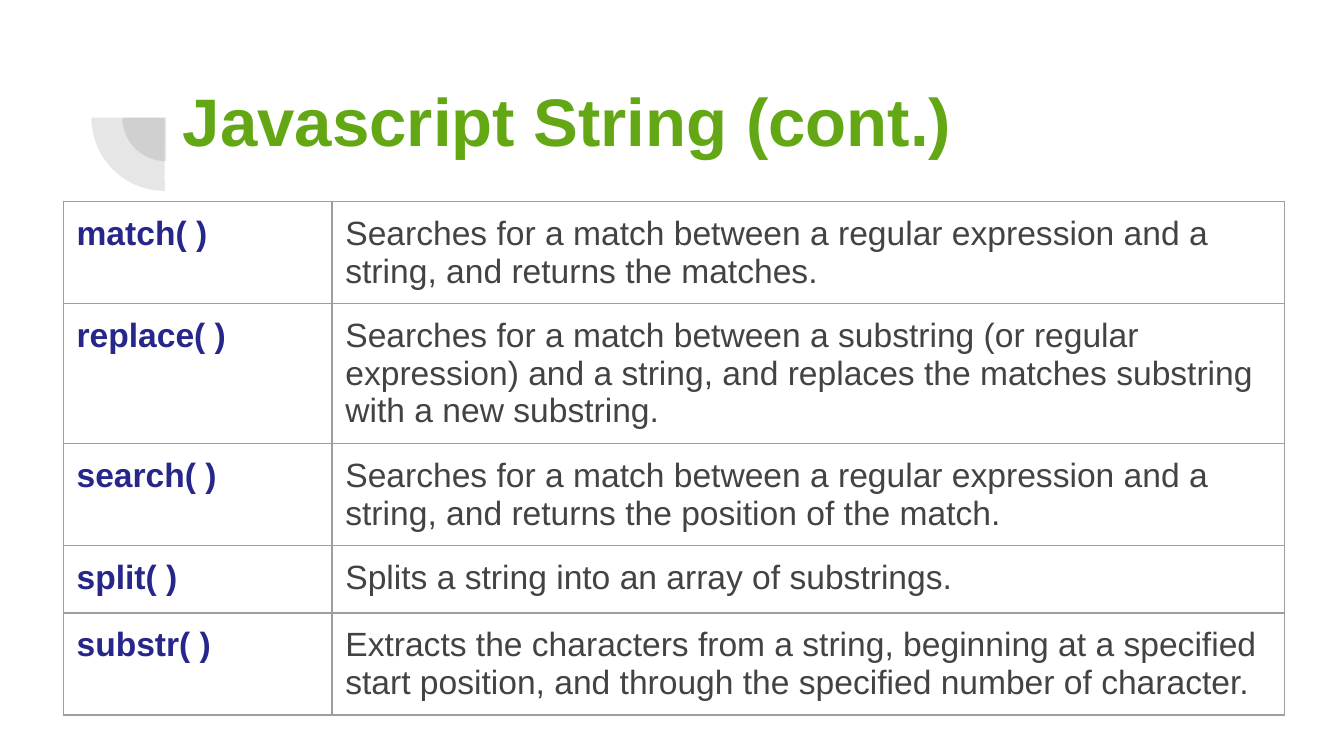
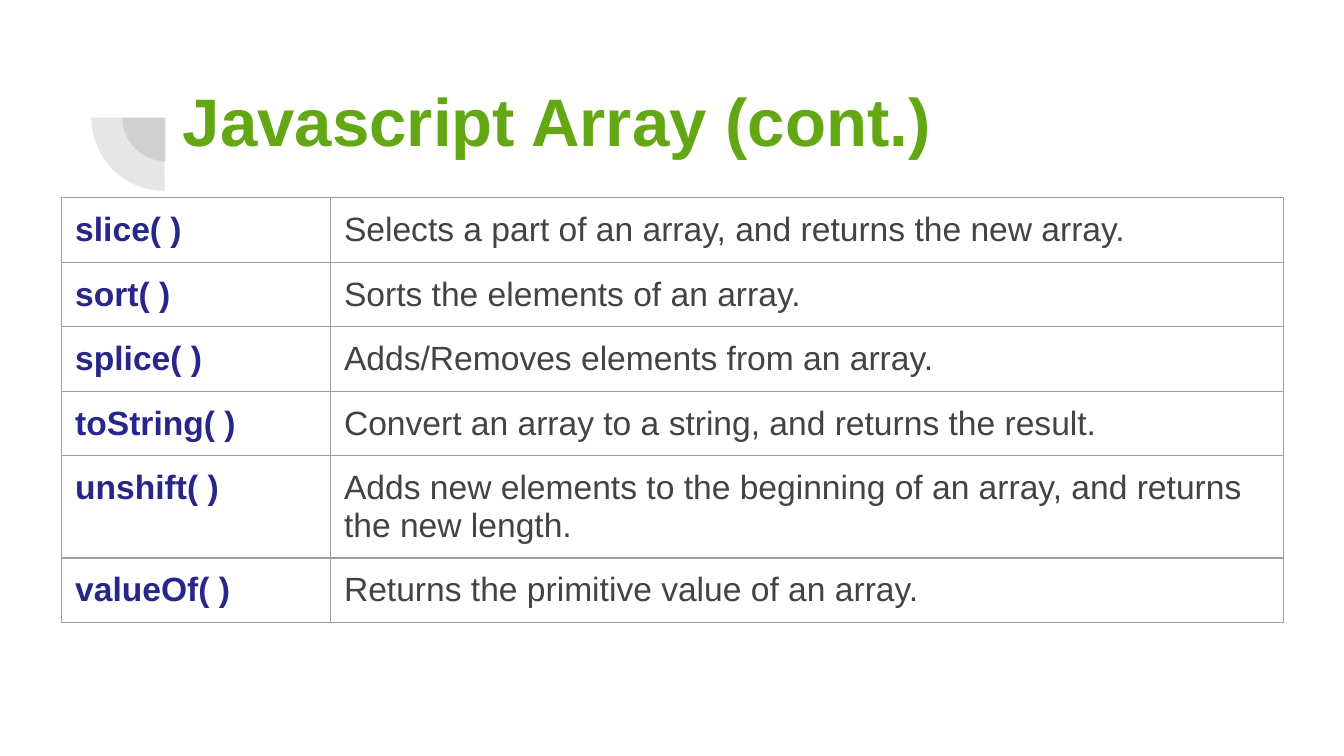
from lxml import etree
from pptx import Presentation
from pptx import util as u
from pptx.dml.color import RGBColor
from pptx.enum import shapes, text
from pptx.oxml import ns

PX = 4572  # EMU in one px, 200 px to the inch
FONT = "Arial"
GREEN = RGBColor(0x63, 0xA8, 0x14)
NAVY = RGBColor(0x27, 0x27, 0x8B)
INK = RGBColor(0x43, 0x43, 0x43)
GRAY = RGBColor(0x42, 0x42, 0x42)
RULE = RGBColor(0x9E, 0x9E, 0x9E)
COLS = (400, 1418)
PAD = 20

STRING = [
    ("match( )", "Searches for a match between a regular expression and a string, "
     "and returns the matches.", 84),
    ("replace( )", "Searches for a match between a substring (or regular expression) "
     "and a string, and replaces the matches substring with a new substring.", 86),
    ("search( )", "Searches for a match between a regular expression and a string, "
     "and returns the position of the match.", 62),
    ("split( )", "Splits a string into an array of substrings.", 100),
    ("substr( )", "Extracts the characters from a string, beginning at a specified "
     "start position, and through the specified number of character.", 100),
]
ARRAY = [(name, note, 86) for name, note in (
    ("slice( )", "Selects a part of an array, and returns the new array."),
    ("sort( )", "Sorts the elements of an array."),
    ("splice( )", "Adds/Removes elements from an array."),
    ("toString( )", "Convert an array to a string, and returns the result."),
    ("unshift( )", "Adds new elements to the beginning of an array, "
     "and returns the new length."),
    ("valueOf( )", "Returns the primitive value of an array."),
)]


def px(*sizes):
    return [u.Emu(size * PX) for size in sizes]


def pad(box):
    """Give a text frame or a table cell the same margin on all sides."""
    box.margin_left, box.margin_top, box.margin_right, box.margin_bottom = px(*[PAD] * 4)


def write(frame, words, size=18, color=INK, bold=False, after=0):
    par = frame.paragraphs[0]
    par.alignment = text.PP_ALIGN.LEFT
    par.space_after = u.Pt(after)
    run = par.add_run()
    run.text = words
    font = run.font
    font.name, font.size, font.bold = FONT, u.Pt(size), bold
    font.color.rgb = color


def child(node, tag, **attrs):
    return etree.SubElement(node, ns.qn(tag), attrs)


def edge(cell):
    """Draw a thin rule on all four sides of the cell."""
    props = cell._tc.get_or_add_tcPr()
    for side in "LRTB":
        line = child(props, "a:ln" + side, w=str(u.Pt(0.75)))
        child(child(line, "a:solidFill"), "a:srgbClr", val=str(RULE))


class Deck:
    def __init__(self):
        self.prs = Presentation()
        self.prs.slide_width, self.prs.slide_height = px(2000, 1125)
        self.layout = self.prs.slide_layouts[5]
        self.slide = None

    def page(self):
        self.slide = self.prs.slides.add_slide(self.layout)

    def pie(self, left, top, side, num):
        """Add a see-through quarter disc to the layout that all slides share."""
        pie = self.slide.shapes.add_shape(shapes.MSO_SHAPE.PIE, *px(left, top, side, side))
        pie.adjustments[0], pie.adjustments[1] = 107.93, 162
        pie.rotation = 270
        pie.shadow.inherit = False
        pie.line.fill.background()
        pie.fill.solid()
        pie.fill.fore_color.rgb = GRAY
        node = pie.element
        child(node.find(".//" + ns.qn("a:srgbClr")), "a:alpha", val="13000")
        node.nvSpPr.cNvPr.set("id", str(num))
        self.layout.shapes.element.append(node)

    def title(self, words):
        title = self.slide.shapes.title
        title.left, title.top, title.width, title.height = px(252, 98, 1546, 146)
        frame = title.text_frame
        frame.word_wrap = True
        frame.auto_size = text.MSO_AUTO_SIZE.NONE
        frame.vertical_anchor = text.MSO_ANCHOR.TOP
        pad(frame)
        write(frame, words, size=36, color=GREEN, bold=True, after=16)

    def table(self, left, top, rows):
        high = sum(row[2] for row in rows)
        box = px(left, top, sum(COLS), high)
        table = self.slide.shapes.add_table(len(rows), len(COLS), *box).table
        table.first_row = table.horz_banding = False
        for col, wide in zip(table.columns, px(*COLS)):
            col.width = wide
        for row, (name, note, tall) in zip(table.rows, rows):
            row.height = px(tall)[0]
            for cell in row.cells:
                edge(cell)
                cell.fill.background()
                pad(cell)
            write(row.cells[0].text_frame, name, color=NAVY, bold=True)
            write(row.cells[1].text_frame, note)


def main():
    deck = Deck()
    deck.page()
    deck.pie(182, 110, 130, 20)
    deck.pie(136, 66, 218, 21)
    deck.title("Javascript String (cont.)")
    deck.table(94, 300, STRING)

    deck.page()
    deck.title("Javascript Array (cont.)")
    deck.table(92, 294, ARRAY)
    deck.prs.save("out.pptx")


if __name__ == "__main__":
    main()
